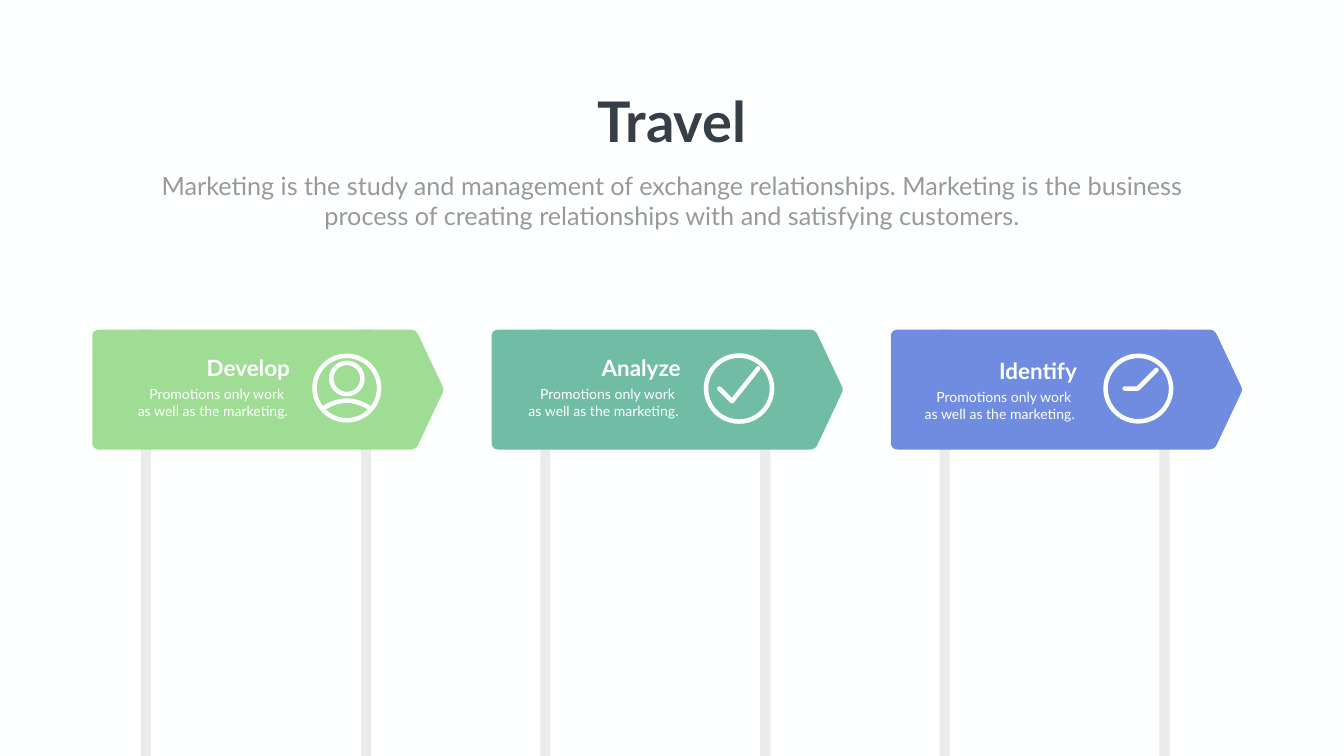
import lxml.etree
import pptx
import pptx.dml.color
import pptx.enum.shapes
import pptx.enum.text
import pptx.oxml.ns
import pptx.util

Inches = pptx.util.Inches
SHAPE = pptx.enum.shapes.MSO_SHAPE
ALIGN = pptx.enum.text.PP_ALIGN

COLORS = {
    "white": "FEFFFF", "title": "363E48", "subtitle": "999999", "pole": "EBEBEB",
    "green": "9FDC94", "teal": "71BCA4", "blue": "708CE0",
}
TITLE = "Travel"
SUBTITLE = ("Marketing is the study and management of exchange relationships. "
            "Marketing is the business process of creating relationships with "
            "and satisfying customers.")
BODY = ["Promotions only work ", "as well as the marketing."]

SHOULDERS = [(0.43 * t / 8, 0.25 + 0.13 * (t / 8) ** 2) for t in range(-8, 9)]
CHECK = [(-0.39, 0), (-0.14, 0.25), (0.38, -0.4)]
CLOCK_HANDS = [(-0.27, 0), (-0.01, 0), (0.36, -0.37)]
SIGNS = [
    {"name": "Develop", "color": "green", "text": (3.24, 6.98),
     "icon": (6.88, 7.7), "ring": 1.37, "stroke": SHOULDERS, "head": True},
    {"name": "Analyze", "color": "teal", "text": (10.99, 6.98),
     "icon": (14.66, 7.71), "ring": 1.4, "stroke": CHECK, "head": False},
    {"name": "Identify", "color": "blue", "text": (18.85, 7.04),
     "icon": (22.58, 7.71), "ring": 1.39, "stroke": CLOCK_HANDS, "head": False},
]
SIGN_LEFT, SIGN_TOP, SIGN_PITCH = 1.83, 6.54, 7.92
SIGN_CORNERS = [(0, 0, 0.15), (6.42, 0, 0.11), (6.98, 1.19, 0.07),
                (6.42, 2.38, 0.11), (0, 2.38, 0.15)]
POLE_OFFSETS, POLE_WIDTH = (0.97, 5.33), 0.2
STROKE = 0.09


def rgb(name):
    return pptx.dml.color.RGBColor.from_string(COLORS[name])


def paint(sp, color):
    sp.shadow.inherit = False
    sp.fill.solid()
    sp.fill.fore_color.rgb = rgb(color)
    sp.line.fill.background()


def add_text(shapes, box, lines, size, color, align, bold=False, wrap=True):
    tf = shapes.add_textbox(*map(Inches, box)).text_frame
    tf.word_wrap = wrap
    tf.text = "\n".join(lines)
    for p in tf.paragraphs:
        p.alignment = align
        for r in p.runs:
            r.font.name = "Lato"
            r.font.size = pptx.util.Pt(size)
            r.font.bold = bold
            r.font.color.rgb = rgb(color)


def add_path(shapes, points, close):
    points = [(Inches(x), Inches(y)) for x, y in points]
    builder = shapes.build_freeform(*points[0], scale=1.0)
    builder.add_line_segments(points[1:], close=close)
    return builder.convert_to_shape()


def toward(a, b, distance):
    dx, dy = b[0] - a[0], b[1] - a[1]
    k = distance / (dx * dx + dy * dy) ** 0.5
    return a[0] + dx * k, a[1] + dy * k


def rounded(corners, steps=6):
    points = []
    for i, (x, y, radius) in enumerate(corners):
        start = toward((x, y), corners[i - 1], radius)
        end = toward((x, y), corners[(i + 1) % len(corners)], radius)
        for n in range(steps + 1):
            t = n / steps
            points.append(tuple((1 - t) ** 2 * a + 2 * t * (1 - t) * b + t * t * c
                                for a, b, c in zip(start, (x, y), end)))
    return points


def add_ring(shapes, cx, cy, size):
    sp = shapes.add_shape(SHAPE.DONUT, Inches(cx - size / 2), Inches(cy - size / 2),
                          Inches(size), Inches(size))
    sp.adjustments[0] = STROKE / size
    paint(sp, "white")


def add_stroke(shapes, points):
    sp = add_path(shapes, points, close=False)
    sp.shadow.inherit = False
    sp.fill.background()
    sp.line.color.rgb = rgb("white")
    sp.line.width = Inches(STROKE)
    ln = sp.line._get_or_add_ln()
    ln.set("cap", "rnd")
    lxml.etree.SubElement(ln, pptx.oxml.ns.qn("a:round"))


def add_sign(shapes, left, sign):
    for offset in POLE_OFFSETS:
        pole = shapes.add_shape(SHAPE.RECTANGLE, Inches(left + offset), Inches(6.53),
                                Inches(POLE_WIDTH), Inches(8.47))
        paint(pole, "pole")
    outline = [(left + x, SIGN_TOP + y) for x, y in rounded(SIGN_CORNERS)]
    paint(add_path(shapes, outline, close=True), sign["color"])

    cx, cy = sign["icon"]
    add_ring(shapes, cx, cy, sign["ring"])
    if sign["head"]:
        add_ring(shapes, cx, cy - 0.19, 0.71)
    add_stroke(shapes, [(cx + x, cy + y) for x, y in sign["stroke"]])

    x, y = sign["text"]
    label = shapes.add_group_shape().shapes
    add_text(label, (x, y, 2.61, 0.64), [sign["name"]], 32, "white", ALIGN.RIGHT, bold=True)
    add_text(label, (x - 1.45, y + 0.62, 4.02, 0.77), BODY, 20, "white", ALIGN.RIGHT)


def main():
    prs = pptx.Presentation()
    prs.slide_width, prs.slide_height = Inches(26.66), Inches(15)
    s = prs.slides.add_slide(prs.slide_layouts[6])
    s.background.fill.solid()
    s.background.fill.fore_color.rgb = rgb("white")
    for i, sign in enumerate(SIGNS):
        add_sign(s.shapes, SIGN_LEFT + i * SIGN_PITCH, sign)
    add_text(s.shapes, (11.65, 1.67, 3.36, 1.45), [TITLE], 80, "title",
             ALIGN.CENTER, bold=True, wrap=False)
    add_text(s.shapes, (2.68, 3.33, 21.3, 1.31), [SUBTITLE], 36, "subtitle", ALIGN.CENTER)
    prs.save("out.pptx")


if __name__ == "__main__":
    main()
